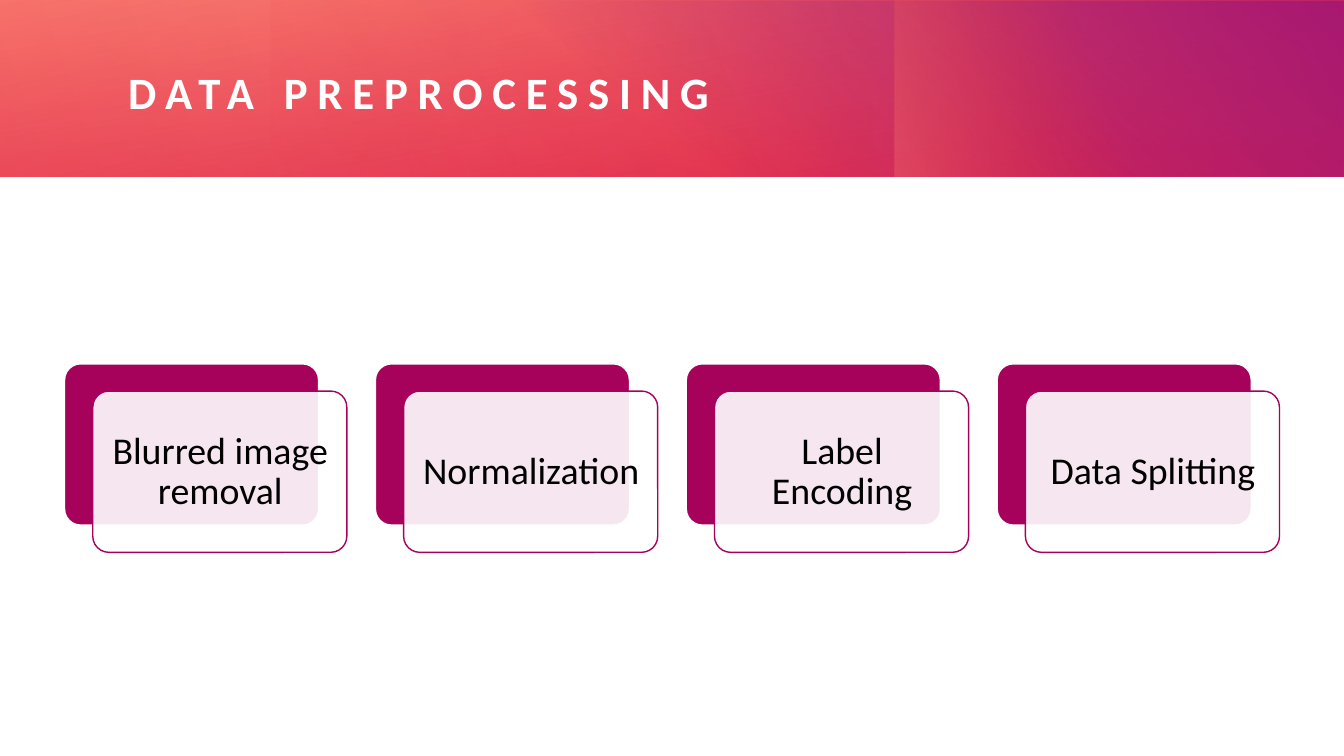
import pptx
import pptx.util
import pptx.dml.color
import pptx.enum.shapes
import pptx.enum.text
import pptx.oxml.ns
from lxml import etree

Inches = pptx.util.Inches
Pt = pptx.util.Pt
qn = pptx.oxml.ns.qn


def color(value):
    return pptx.dml.color.RGBColor.from_string(value)


def add_alpha(color_element, percent):
    etree.SubElement(color_element, qn("a:alpha"), val=str(percent * 1000))


class SlideBuilder:
    font = "Calibri"
    accent = "A6025C"
    white = "FFFFFF"
    black = "000000"

    def __init__(self, presentation):
        self.slide = presentation.slides.add_slide(presentation.slide_layouts[5])

    def shape(self, kind, left, top, width, height):
        shape = self.slide.shapes.add_shape(
            kind, Inches(left), Inches(top), Inches(width), Inches(height))
        shape.shadow.inherit = False
        return shape

    def gradient(self, left, top, width, height, angle, stops, rotation=0):
        """Rectangle with (position, colour, opacity) stops, angle clockwise."""
        shape = self.shape(pptx.enum.shapes.MSO_SHAPE.RECTANGLE,
                           left, top, width, height)
        shape.rotation = rotation
        shape.line.fill.background()
        shape.fill.gradient()
        shape.fill.gradient_angle = 360 - angle
        stop_list = shape.element.spPr.find(".//" + qn("a:gsLst"))
        for old_stop in list(stop_list):
            stop_list.remove(old_stop)
        for position, value, opacity in stops:
            stop = etree.SubElement(stop_list, qn("a:gs"), pos=str(position * 1000))
            add_alpha(etree.SubElement(stop, qn("a:srgbClr"), val=value), opacity)

    def card(self, left, top, fill, line, opacity=100):
        shape = self.shape(pptx.enum.shapes.MSO_SHAPE.ROUNDED_RECTANGLE,
                           left, top, 2.52, 1.6)
        shape.adjustments[0] = 0.1
        shape.fill.solid()
        shape.fill.fore_color.rgb = color(fill)
        if opacity < 100:
            add_alpha(shape.element.spPr.find(
                qn("a:solidFill") + "/" + qn("a:srgbClr")), opacity)
        shape.line.color.rgb = color(line)
        shape.line.width = Pt(1)

    def fill_text(self, frame, text, size, value, alignment, inset, bold=False):
        frame.word_wrap = True
        frame.auto_size = pptx.enum.text.MSO_AUTO_SIZE.NONE
        frame.vertical_anchor = pptx.enum.text.MSO_ANCHOR.MIDDLE
        frame.margin_left = frame.margin_right = Inches(inset)
        frame.margin_top = frame.margin_bottom = Inches(inset)
        paragraph = frame.paragraphs[0]
        paragraph.alignment = alignment
        paragraph.line_spacing = 0.9
        run = paragraph.add_run()
        run.text = text
        run.font.name = self.font
        run.font.size = Pt(size)
        run.font.bold = bold
        run.font.color.rgb = color(value)

    def title(self, text, left, top, width, height):
        title = self.slide.shapes.title
        title.left, title.top = Inches(left), Inches(top)
        title.width, title.height = Inches(width), Inches(height)
        self.fill_text(title.text_frame, text, 32, self.white,
                       pptx.enum.text.PP_ALIGN.LEFT, 0, bold=True)
        # Letter spacing of 7 points
        title.element.find(".//" + qn("a:rPr")).set("spc", "700")
        # Bring the title in front of the banner
        title.element.getparent().append(title.element)

    def label(self, text, left, top, width, height):
        box = self.slide.shapes.add_textbox(
            Inches(left), Inches(top), Inches(width), Inches(height))
        self.fill_text(box.text_frame, text, 27, self.black,
                       pptx.enum.text.PP_ALIGN.CENTER, 0.11)

    def step(self, text, left, top):
        self.card(left, top, self.accent, self.white)
        self.card(left + 0.28, top + 0.27, self.white, self.accent, opacity=90)
        self.label(text, left + 0.33, top + 0.32, 2.43, 1.51)


def main():
    presentation = pptx.Presentation()
    presentation.slide_width = Inches(13.33)
    presentation.slide_height = Inches(7.5)
    builder = SlideBuilder(presentation)

    # Banner of layered gradients
    red, coral, purple, orange = "DA002F", "FF907A", "92248E", "FE4A00"
    builder.gradient(0, 0, 13.33, 1.75, 260, [(0, red, 83), (100, coral, 100)])
    builder.gradient(4.81, 0.01, 8.52, 1.74, 310,
                     [(22, purple, 0), (99, purple, 100)])
    builder.gradient(9.87, -0.99, 1.75, 3.74, 250,
                     [(45, orange, 0), (99, coral, 33)], rotation=270)
    builder.gradient(2.68, 0, 10.64, 1.75, 330,
                     [(0, red, 30), (99, red, 0)], rotation=180)
    builder.gradient(0, 0, 8.65, 1.75, 340, [(0, red, 21), (99, red, 0)])

    # Title
    builder.title("DATA PREPROCESSING", 1.27, 0.41, 11.35, 1.06)

    # Preprocessing steps, evenly spaced
    first_left, last_left = 0.64, 9.89
    steps = ["Blurred image removal", "Normalization",
             "Label Encoding", "Data Splitting"]
    pitch = (last_left - first_left) / (len(steps) - 1)
    for index, text in enumerate(steps):
        builder.step(text, first_left + index * pitch, 3.61)

    presentation.save("out.pptx")


if __name__ == "__main__":
    main()
